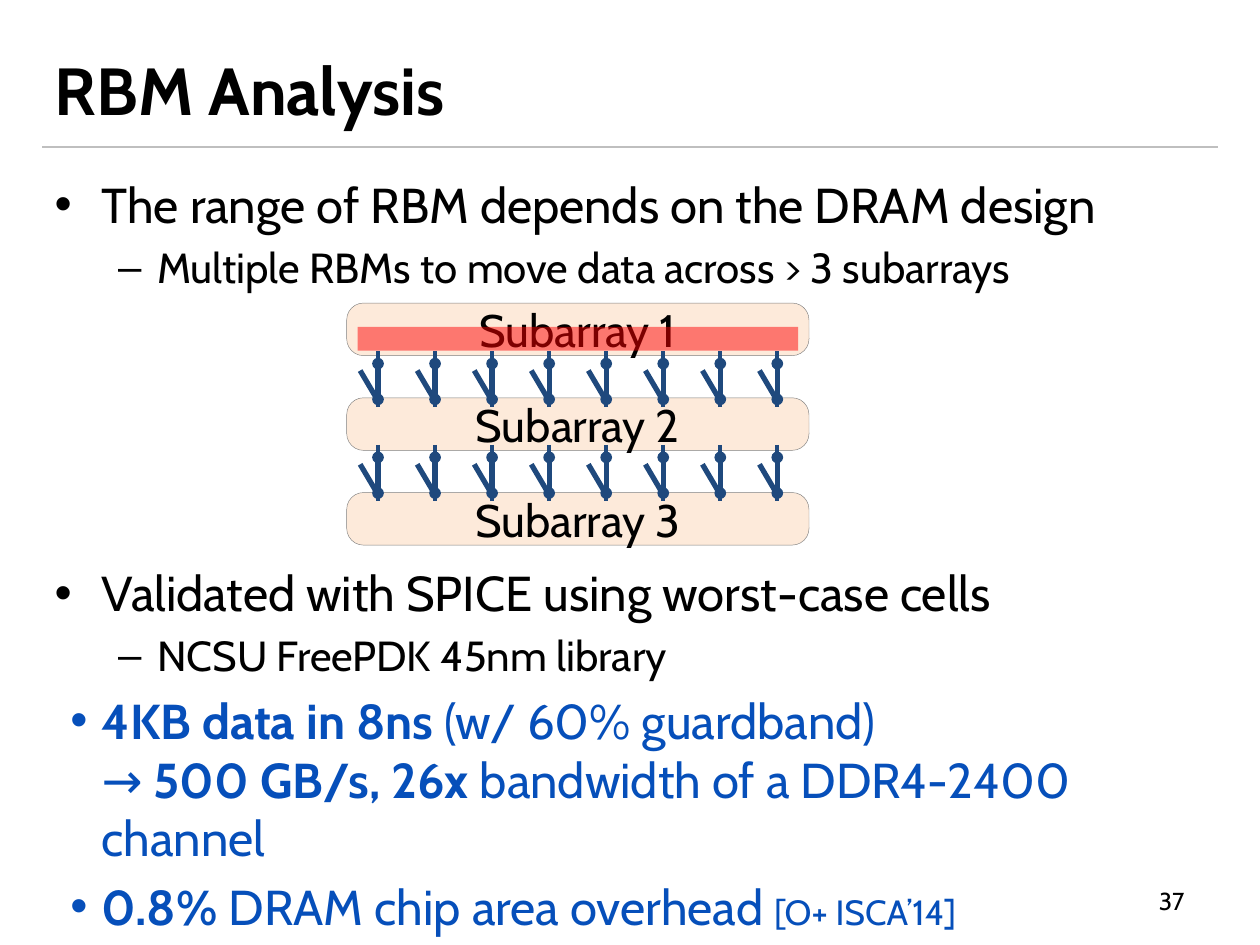
"""Build the RBM Analysis slide: three subarrays joined by rows of switches."""
from dataclasses import dataclass

from lxml.etree import SubElement
from pptx import Presentation
from pptx.dml.color import RGBColor
from pptx.enum.shapes import MSO_CONNECTOR, MSO_SHAPE
from pptx.enum.text import MSO_ANCHOR, MSO_AUTO_SIZE, PP_ALIGN
from pptx.oxml.ns import qn
from pptx.util import Cm, Pt

BLACK = RGBColor(0x00, 0x00, 0x00)
BLUE = RGBColor(0x06, 0x4F, 0xBA)
NAVY = RGBColor(0x1F, 0x49, 0x7D)
PEACH = RGBColor(0xFD, 0xEA, 0xDA)
GREY = RGBColor(0x80, 0x80, 0x80)
SILVER = RGBColor(0xBF, 0xBF, 0xBF)
RED = RGBColor(0xFF, 0x00, 0x00)
FONT = "Cabin"


@dataclass
class Run:
    text: str
    bold: bool = False
    size: int | None = None


@dataclass
class Item:
    runs: list[Run]
    level: int = 0
    hang: float = 0.95
    color: RGBColor = BLACK


@dataclass
class Stroke:
    x1: float
    y1: float
    x2: float
    y2: float
    width: float = 3
    dot: bool = False


RANGE = [
    Item([Run("The range of RBM depends on the DRAM design")]),
    Item([Run("Multiple RBMs to move data across > 3 subarrays")], 1, 0.79),
]
RESULT = [
    Item([Run("Validated with SPICE using worst-case cells")]),
    Item([Run("NCSU FreePDK 45nm library")], 1, 0.79),
    Item([Run("4KB data in 8ns ", True), Run("(w/ 60% guardband)\n→ "),
          Run("500 GB/s, 26x ", True),
          Run("bandwidth of a DDR4-2400 channel")], 0, 0.63, BLUE),
    Item([Run("0.8% ", True), Run("DRAM chip area overhead "),
          Run("[O+ ISCA’14]", size=20)], 0, 0.63, BLUE),
]
SWITCH = [
    Stroke(0, 0.22, 0, 0.86),
    Stroke(0, 1, -0.36, 0.39),
    Stroke(0, 0, 0, 0.25, 2.25, True),
    Stroke(0, 1.12, 0, 0.97, 2.25, True),
]


def style(font, size: float, color: RGBColor = BLACK) -> None:
    font.name = FONT
    font.size = Pt(size)
    font.color.rgb = color


def add_line(slide, stroke: Stroke, color: RGBColor, x: float = 0, y: float = 0) -> None:
    line = slide.shapes.add_connector(
        MSO_CONNECTOR.STRAIGHT, Cm(x + stroke.x1), Cm(y + stroke.y1),
        Cm(x + stroke.x2), Cm(y + stroke.y2))
    line.line.color.rgb = color
    line.line.width = Pt(stroke.width)
    props = line._element.spPr
    if stroke.dot:
        SubElement(props.find(qn("a:ln")), qn("a:tailEnd"), type="oval")
    SubElement(props, qn("a:effectLst"))


def add_list(slide, top: float, height: float, items: list[Item]) -> None:
    frame = slide.shapes.add_textbox(Cm(0.85), Cm(top), Cm(23.7), Cm(height)).text_frame
    frame.word_wrap = True
    for i, item in enumerate(items):
        para = frame.add_paragraph() if i else frame.paragraphs[0]
        size = 24 if item.level else 28
        para.level = item.level
        props = para._p.get_or_add_pPr()
        props.set("marL", str(Cm(2.07 if item.level else 0.95)))
        props.set("indent", str(-Cm(item.hang)))
        SubElement(props, qn("a:buFont"), typeface="Arial")
        SubElement(props, qn("a:buChar"), char="–" if item.level else "•")
        if i:
            para.space_before = Pt(size * 0.2)
        style(para.font, size, item.color)
        for part in item.runs:
            for j, text in enumerate(part.text.split("\n")):
                if j:
                    para.add_line_break()
                run = para.add_run()
                run.text = text
                if part.bold:
                    run.font.bold = True
                if part.size:
                    run.font.size = Pt(part.size)


def add_bank(slide, top: float, name: str) -> None:
    bank = slide.shapes.add_shape(
        MSO_SHAPE.ROUNDED_RECTANGLE, Cm(6.99), Cm(top), Cm(9.32), Cm(1.06))
    bank.adjustments[0] = 0.32
    bank.shadow.inherit = False
    bank.fill.solid()
    bank.fill.fore_color.rgb = PEACH
    bank.line.color.rgb = GREY
    bank.line.width = Pt(0.25)
    frame = bank.text_frame
    frame.vertical_anchor = MSO_ANCHOR.MIDDLE
    para = frame.paragraphs[0]
    para.text = name
    para.alignment = PP_ALIGN.CENTER
    style(para.font, 26)


def add_grid(slide) -> None:
    for row in range(2):
        for col in range(8):
            for stroke in SWITCH:
                add_line(slide, stroke, NAVY, 7.62 + 1.15 * col, 7.08 + 1.89 * row)


def add_bar(slide) -> None:
    bar = slide.shapes.add_shape(
        MSO_SHAPE.RECTANGLE, Cm(7.21), Cm(6.59), Cm(8.88), Cm(0.48))
    bar.shadow.inherit = False
    bar.fill.solid()
    bar.fill.fore_color.rgb = RED
    bar.line.fill.background()
    tint = bar._element.spPr.find(qn("a:solidFill"))[0]
    SubElement(tint, qn("a:alpha"), val="49000")


def add_title(slide) -> None:
    title = slide.shapes.title
    title.left, title.top, title.width, title.height = Cm(0.85), Cm(0.2), Cm(23.7), Cm(3.18)
    frame = title.text_frame
    frame.auto_size = MSO_AUTO_SIZE.NONE
    frame.vertical_anchor = MSO_ANCHOR.MIDDLE
    para = frame.paragraphs[0]
    para.text = "RBM Analysis"
    para.alignment = PP_ALIGN.LEFT
    style(para.font, 38)
    para.font.bold = True


def add_page(slide) -> None:
    frame = slide.shapes.add_textbox(Cm(18.2), Cm(17.65), Cm(5.93), Cm(1.02)).text_frame
    frame.word_wrap = True
    frame.vertical_anchor = MSO_ANCHOR.MIDDLE
    para = frame.paragraphs[0]
    para.text = "37"
    para.alignment = PP_ALIGN.RIGHT
    style(para.font, 14)


def main() -> None:
    deck = Presentation()
    deck.slide_width, deck.slide_height = Cm(25.4), Cm(19.05)
    slide = deck.slides.add_slide(deck.slide_layouts[5])
    add_line(slide, Stroke(0.85, 2.96, 24.55, 2.96, 1.5), SILVER)
    add_title(slide)
    add_list(slide, 3.39, 2.6, RANGE)
    add_list(slide, 11.22, 7.6, RESULT)
    add_page(slide)
    for i in range(3):
        add_bank(slide, 6.11 + 1.91 * i, f"Subarray {i + 1}")
    add_bar(slide)
    add_grid(slide)
    deck.save("out.pptx")


if __name__ == "__main__":
    main()
